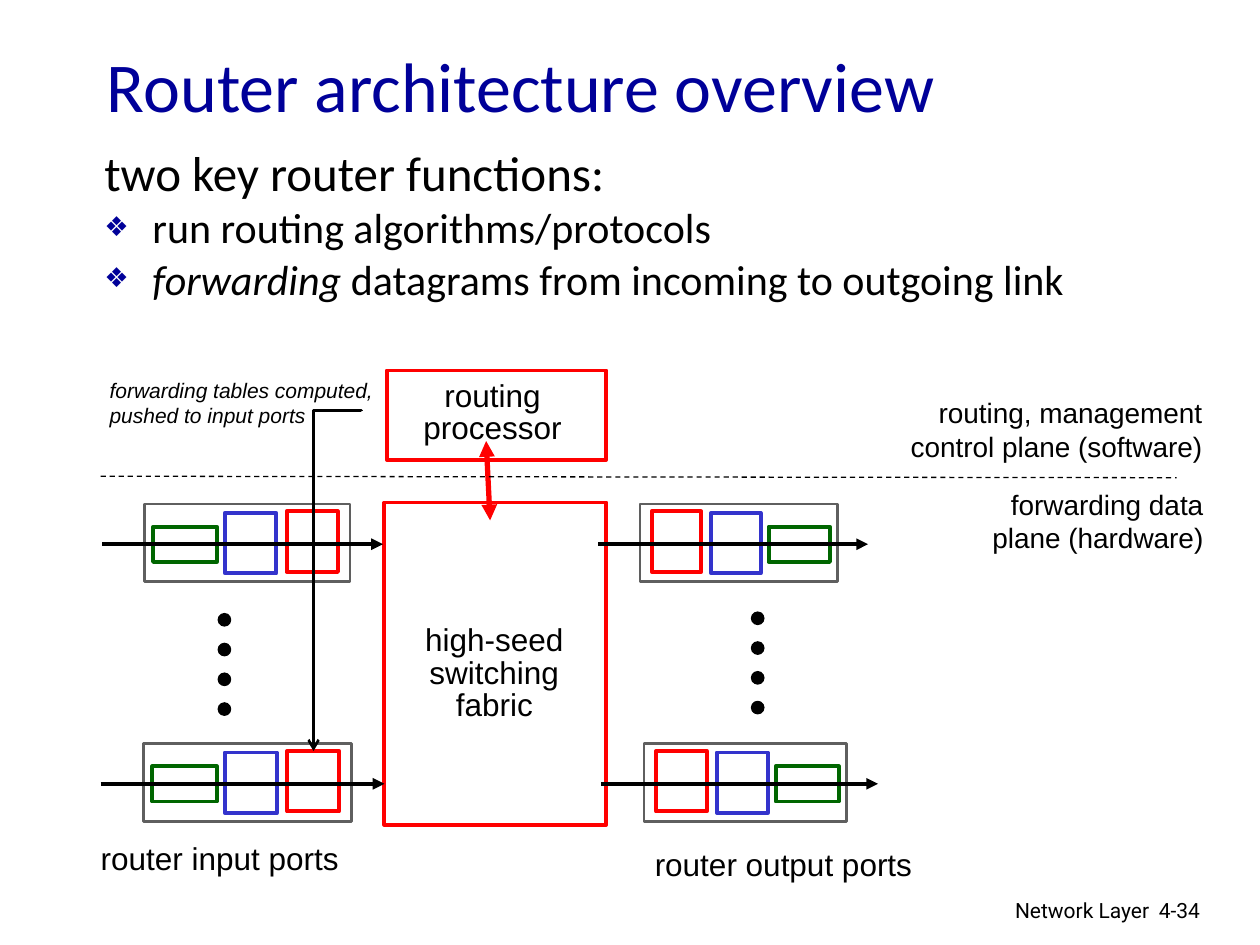
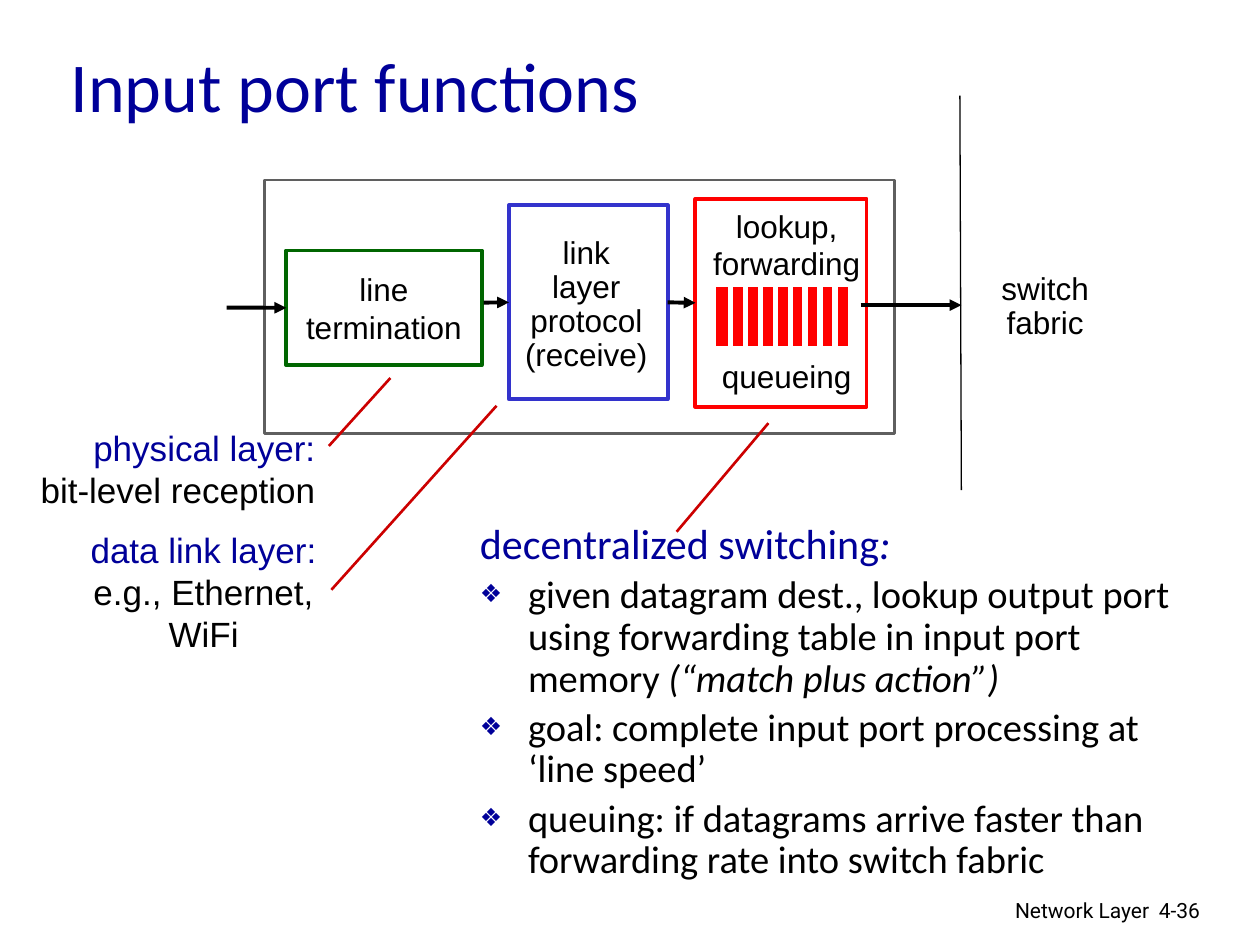
from lxml import etree
from pptx import Presentation
from pptx import util as u
from pptx.dml.color import RGBColor
from pptx.enum import dml, shapes, text
from pptx.oxml.ns import qn

BLACK = RGBColor(0x00, 0x00, 0x00)
WHITE = RGBColor(0xFF, 0xFF, 0xFF)
NAVY = RGBColor(0x00, 0x00, 0x99)
RED = RGBColor(0xFF, 0x00, 0x00)
DARK_RED = RGBColor(0xCC, 0x00, 0x00)
BLUE = RGBColor(0x33, 0x33, 0xCC)
GREEN = RGBColor(0x00, 0x66, 0x00)
GRAY = RGBColor(0x5F, 0x5F, 0x5F)

LEFT = text.PP_ALIGN.LEFT
CENTER = text.PP_ALIGN.CENTER
RIGHT = text.PP_ALIGN.RIGHT
TOP = text.MSO_ANCHOR.TOP
MIDDLE = text.MSO_ANCHOR.MIDDLE
RECTANGLE = shapes.MSO_SHAPE.RECTANGLE
OVAL = shapes.MSO_SHAPE.OVAL

PORT_PARTS = [
    (GREEN, 0.04, 0.31, 0.46, 0.71),
    (BLUE, 0.39, 0.25, 0.18, 1.22),
    (RED, 0.69, 0.25, 0.15, 1.22),
]


def set_attributes(target, values):
    for name, value in values.items():
        setattr(target, name, value)


def place(shape, left, top, width, height):
    set_attributes(shape, {"left": u.Cm(left), "top": u.Cm(top),
                           "width": u.Cm(width), "height": u.Cm(height)})


def add_run(paragraph, content, size, color=BLACK, font="Arial", italic=False):
    run = paragraph.add_run()
    run.text = content
    set_attributes(run.font, {"name": font, "size": u.Pt(size), "italic": italic})
    run.font.color.rgb = color


def write_lines(shape, lines, size=18, align=LEFT, spacing=1.0, anchor=TOP,
                wrap=False, first_color=BLACK, font="Arial", italic=False):
    frame = shape.text_frame
    set_attributes(frame, {"word_wrap": wrap, "vertical_anchor": anchor})
    for index, line in enumerate(lines):
        paragraph = frame.add_paragraph() if index else frame.paragraphs[0]
        set_attributes(paragraph, {"alignment": align, "line_spacing": spacing})
        add_run(paragraph, line, size, BLACK if index else first_color, font, italic)
    return frame


def add_label(slide, box, lines, **formats):
    label = slide.shapes.add_textbox(*map(u.Cm, box))
    return write_lines(label, lines, **formats)


def add_box(slide, box, line_color, line_width=2.25, fill=WHITE, kind=RECTANGLE):
    shape = slide.shapes.add_shape(kind, *map(u.Cm, box))
    shape.shadow.inherit = False
    shape.fill.solid()
    shape.fill.fore_color.rgb = fill
    shape.line.color.rgb = line_color
    shape.line.width = u.Pt(line_width)
    return shape


def add_line(slide, points, color=BLACK, width=2.25, dash=None, head=None,
             tail=None, kind=shapes.MSO_CONNECTOR.STRAIGHT):
    connector = slide.shapes.add_connector(kind, *map(u.Cm, points))
    connector.line.color.rgb = color
    set_attributes(connector.line, {"width": u.Pt(width), "dash_style": dash})
    properties = connector._element.spPr
    outline = properties.find(qn("a:ln"))
    for tag, end in (("a:headEnd", head), ("a:tailEnd", tail)):
        if end:
            etree.SubElement(outline, qn(tag), type=end)
    etree.SubElement(properties, qn("a:effectLst"))
    return connector


def add_arrow(slide, points, **formats):
    return add_line(slide, points, tail="triangle", **formats)


def add_elbow_down(slide, start_x, start_y, end_x, end_y):
    across, down = start_x - end_x, end_y - start_y
    left = (start_x + end_x - down) / 2
    top = (start_y + end_y - across) / 2
    elbow = add_line(slide, (left, top, left + down, top + across), width=1.5,
                     tail="arrow", kind=shapes.MSO_CONNECTOR.ELBOW)
    properties = elbow._element.spPr
    properties.find(qn("a:xfrm")).set("rot", "5400000")
    adjustments = properties.find(qn("a:prstGeom")).find(qn("a:avLst"))
    etree.SubElement(adjustments, qn("a:gd"), name="adj1", fmla="val -100")


def add_bullet(paragraph, shown):
    properties = paragraph._p.get_or_add_pPr()
    indent = int(u.Cm(0.97))
    properties.set("marL", str(indent))
    properties.set("indent", str(-indent))
    if not shown:
        etree.SubElement(properties, qn("a:buNone"))
        return
    color = etree.SubElement(properties, qn("a:buClr"))
    etree.SubElement(color, qn("a:srgbClr"), val=str(NAVY))
    etree.SubElement(properties, qn("a:buSzPct"), val="65000")
    etree.SubElement(properties, qn("a:buChar"), char="❖")


def fill_body(slide, box, heading, size, items, spacing):
    body = slide.placeholders[1]
    place(body, *box)
    frame = body.text_frame
    set_attributes(frame, {"auto_size": text.MSO_AUTO_SIZE.NONE,
                           "word_wrap": True, "vertical_anchor": TOP})
    for index, runs in enumerate([heading, *items]):
        paragraph = frame.add_paragraph() if index else frame.paragraphs[0]
        add_bullet(paragraph, shown=index > 0)
        set_attributes(paragraph, {
            "line_spacing": spacing,
            "space_before": u.Pt(0.2 * size if index else 0)})
        for content, formats in runs:
            add_run(paragraph, content, **{"size": size, "font": "Calibri", **formats})


def start_slide(presentation, title, left, number):
    slide = presentation.slides.add_slide(presentation.slide_layouts[1])
    place(slide.shapes.title, left, 0.85, 21.59, 1.7)
    frame = write_lines(slide.shapes.title, [title], size=40, anchor=MIDDLE,
                        wrap=True, first_color=NAVY, font="Calibri")
    frame.auto_size = text.MSO_AUTO_SIZE.NONE
    footer = {"size": 12, "font": "Roboto", "wrap": True}
    add_label(slide, (15.37, 17.96, 8.05, 0.79), ["Network Layer"], align=RIGHT, **footer)
    add_label(slide, (23.11, 17.96, 1.88, 0.76), [number], **footer)
    return slide


def add_port(slide, left, top, width, arrow_start, arrow_end, mirrored):
    add_box(slide, (left, top, width, 1.57), GRAY, 1.5)
    for color, offset, share, drop, height in PORT_PARTS:
        if mirrored:
            offset = 1 - offset - share
        add_box(slide, (left + offset * width, top + drop, share * width, height), color)
    middle = top + 0.81
    add_arrow(slide, (arrow_start, middle, arrow_end, middle))


def add_dots(slide, left, top):
    for index in range(4):
        add_box(slide, (left, top + 0.6 * index, 0.25, 0.25), BLACK, 0.75, BLACK, OVAL)


def add_queue(slide, left, top, width, height):
    add_box(slide, (left, top, width, height), WHITE, 3, RED)
    for index in range(8):
        bar = left + 0.35 + 0.3 * index
        add_line(slide, (bar, top, bar, top + height - 0.03), WHITE, 3)


def build_architecture(presentation):
    slide = start_slide(presentation, "Router architecture overview", 1.9, "4-34")
    fill_body(slide, (1.85, 2.92, 22.58, 2.54),
              [("two key router functions:", {"size": 28})], 24,
              [[("run routing algorithms/protocols", {})],
               [("forwarding ", {"italic": True}),
                ("datagrams from incoming to outgoing link", {})]], 0.85)

    add_box(slide, (7.75, 10.13, 4.47, 6.5), RED)
    add_label(slide, (8.25, 12.5, 3.43, 2.24), ["high-seed", "switching", "fabric"],
              align=CENTER, spacing=0.85)
    add_box(slide, (7.8, 7.47, 4.42, 1.8), RED)
    add_label(slide, (8.28, 7.57, 3.3, 1.55), ["routing", "processor"],
              align=CENTER, spacing=0.85)
    add_arrow(slide, (9.8, 8.89, 9.88, 10.49), color=RED, width=3, head="triangle")

    add_port(slide, 2.92, 10.16, 4.14, 2.06, 7.72, False)
    add_port(slide, 2.9, 14.99, 4.19, 2.03, 7.75, False)
    add_port(slide, 12.9, 10.16, 3.99, 12.06, 17.5, True)
    add_port(slide, 12.98, 14.99, 4.09, 12.12, 17.7, True)
    add_dots(slide, 4.4, 12.37)
    add_dots(slide, 15.15, 12.34)
    add_label(slide, (1.78, 16.79, 5.31, 1.02), ["router input ports"])
    add_label(slide, (12.95, 16.92, 5.69, 1.02), ["router output ports"])

    add_line(slide, (2.03, 9.6, 23.72, 9.63), width=0.75, dash=dml.MSO_LINE.DASH)
    add_label(slide, (19.13, 9.7, 5.38, 1.63), ["forwarding data plane (hardware)"],
              size=16, align=RIGHT, wrap=True)
    add_label(slide, (17.68, 7.85, 6.81, 1.63),
              ["routing, management", "control plane (software)"],
              size=16, align=RIGHT, wrap=True)
    add_elbow_down(slide, 7.29, 8.28, 6.32, 15.14)
    add_label(slide, (1.96, 7.49, 5.99, 1.27),
              ["forwarding tables computed,", "pushed to input ports"],
              size=12, italic=True)


def build_input_port(presentation):
    slide = start_slide(presentation, "Input port functions", 1.17, "4-36")
    add_box(slide, (5.33, 3.63, 12.7, 5.11), GRAY, 1.5)
    termination = add_box(slide, (5.77, 5.05, 3.94, 2.31), GREEN)
    write_lines(termination, ["line", "termination"], align=CENTER, anchor=MIDDLE)
    link = add_box(slide, (10.26, 4.14, 3.2, 3.91), BLUE)
    lookup = add_box(slide, (14.02, 4.01, 3.45, 4.19), RED)

    add_arrow(slide, (4.57, 6.2, 5.77, 6.2)).end_connect(termination, 1)
    add_arrow(slide, (9.75, 6.1, 10.26, 6.1)).end_connect(link, 1)
    to_lookup = add_arrow(slide, (13.46, 6.1, 14.02, 6.1))
    to_lookup.begin_connect(link, 3)
    to_lookup.end_connect(lookup, 1)
    add_arrow(slide, (17.35, 6.15, 19.38, 6.15))

    add_label(slide, (9.82, 5.0, 4.0, 2.31), ["link", "layer", "protocol", "(receive)"],
              align=CENTER, spacing=0.9, anchor=MIDDLE)
    lookup_text = add_label(slide, (14.12, 4.04, 3.48, 4.06),
                            ["lookup,", "forwarding", "queueing"], align=CENTER)
    lookup_text.paragraphs[2].space_before = u.Pt(43)
    add_queue(slide, 14.38, 5.74, 2.77, 1.3)

    add_line(slide, (19.35, 1.93, 19.38, 9.88), width=0.75)
    add_label(slide, (19.61, 5.05, 2.92, 2.31), ["switch", "fabric"],
              align=CENTER, spacing=0.9, anchor=MIDDLE)
    add_label(slide, (0.56, 8.48, 6.05, 1.96), ["physical layer:", "bit-level reception"],
              size=20, align=RIGHT, first_color=NAVY)
    add_label(slide, (1.55, 10.52, 5.11, 2.82),
              ["data link layer:", "e.g., Ethernet,", "WiFi"],
              size=20, align=CENTER, first_color=NAVY)

    fill_body(slide, (9.42, 10.41, 15.16, 7.42),
              [("decentralized switching", {"size": 24, "color": NAVY}),
               (":", {"size": 24, "color": NAVY, "italic": True})], 22,
              [[("given datagram dest., lookup output port using forwarding table "
                 "in input port memory ", {}),
                ("(“match plus action”)", {"italic": True})],
               [("goal: complete input port processing at ‘line speed’", {})],
               [("queuing: if datagrams arrive faster than forwarding rate "
                 "into switch fabric", {})]], 0.9)
    for points in [(6.63, 8.99, 7.87, 7.62), (6.68, 11.89, 10.01, 8.18),
                   (13.64, 10.72, 15.49, 8.53)]:
        add_line(slide, points, DARK_RED, 1.5)


def main():
    presentation = Presentation()
    set_attributes(presentation, {"slide_width": u.Cm(25.4), "slide_height": u.Cm(19.05)})
    build_architecture(presentation)
    build_input_port(presentation)
    presentation.save("out.pptx")


if __name__ == "__main__":
    main()
